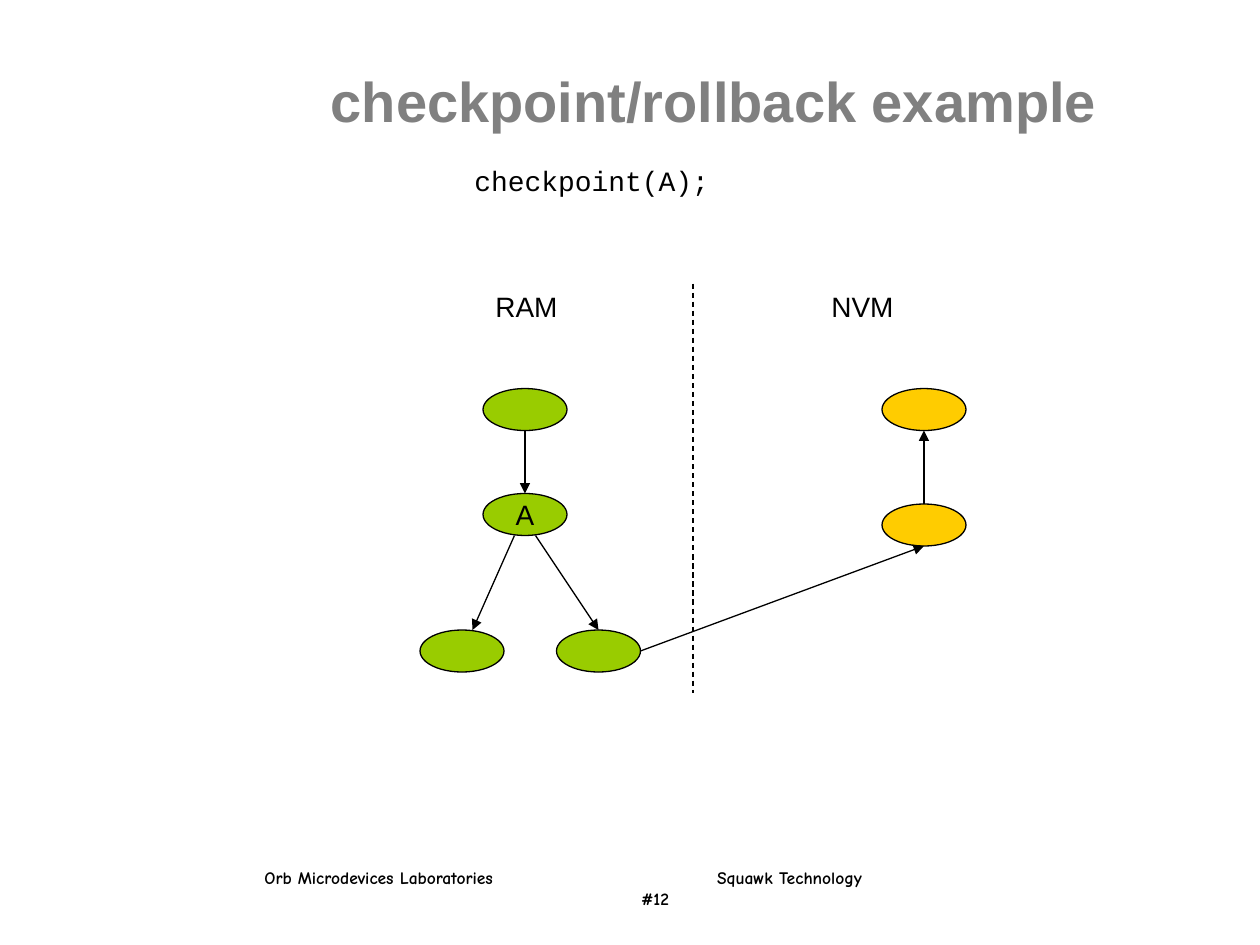
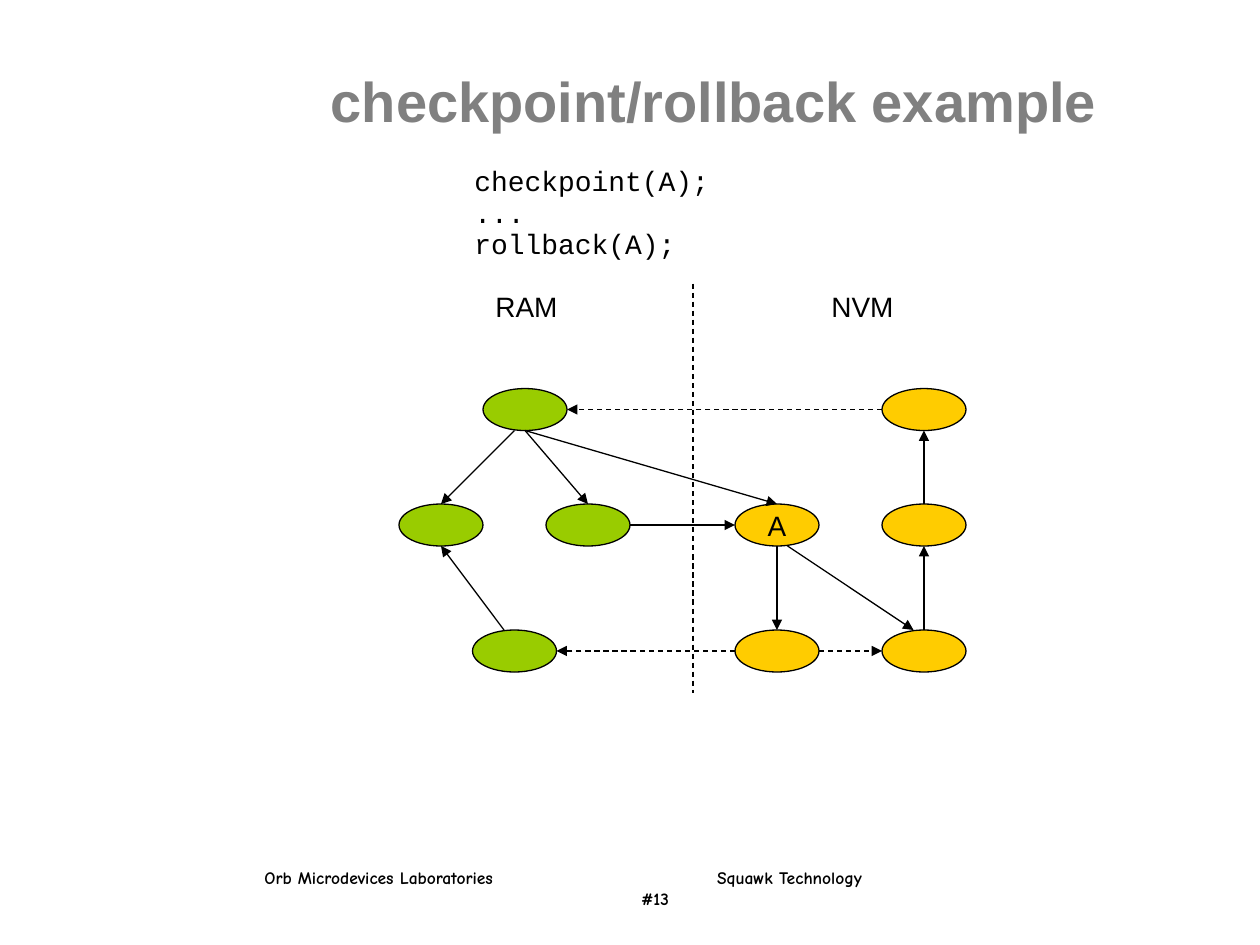
import pptx
import pptx.util
import pptx.dml.color
import pptx.enum.dml
import pptx.enum.shapes
import pptx.enum.text
import pptx.oxml.ns
import lxml.etree

PX = 9525
COLOURS = {"ink": "000000", "title": "808080", "ram": "99CC00", "nvm": "FFCC00"}
NODE_WIDTH, NODE_HEIGHT = 64, 32
SIDES = {
    "top": (32, 0), "top left": (24, 0), "top right": (40, 0),
    "bottom": (32, 32), "bottom left": (24, 32), "bottom right": (40, 32),
    "left": (0, 16), "right": (64, 16),
}
ALIGN = pptx.enum.text.PP_ALIGN
ANCHOR = pptx.enum.text.MSO_ANCHOR

steps = [
    {
        "number": "#12",
        "code": ["checkpoint(A);"],
        "nodes": {
            "root": (368, 296, "ram"),
            "A": (368, 376, "ram"),
            "left child": (320, 480, "ram"),
            "right child": (424, 480, "ram"),
            "saved top": (672, 296, "nvm"),
            "saved middle": (672, 384, "nvm"),
        },
        "references": [
            ("root", "bottom", "A", "top", False),
            ("A", "bottom left", "left child", "top right", False),
            ("A", "bottom right", "right child", "top", False),
            ("right child", "right", "saved middle", "bottom", False),
            ("saved middle", "top", "saved top", "bottom", False),
        ],
    },
    {
        "number": "#13",
        "code": ["checkpoint(A);", "...", "rollback(A);"],
        "nodes": {
            "root": (368, 296, "ram"),
            "left child": (304, 384, "ram"),
            "right child": (416, 384, "ram"),
            "grandchild": (360, 480, "ram"),
            "A": (560, 384, "nvm"),
            "saved child": (560, 480, "nvm"),
            "saved top": (672, 296, "nvm"),
            "saved middle": (672, 384, "nvm"),
            "saved bottom": (672, 480, "nvm"),
        },
        "references": [
            ("root", "bottom", "A", "top", False),
            ("root", "bottom", "right child", "top", False),
            ("root", "bottom left", "left child", "top", False),
            ("grandchild", "top left", "left child", "bottom", False),
            ("right child", "right", "A", "left", False),
            ("A", "bottom", "saved child", "top", False),
            ("A", "bottom right", "saved bottom", "top left", False),
            ("saved bottom", "top", "saved middle", "bottom", False),
            ("saved middle", "top", "saved top", "bottom", False),
            ("saved top", "left", "root", "right", True),
            ("saved child", "left", "grandchild", "right", True),
            ("saved child", "right", "saved bottom", "left", True),
        ],
    },
]


def write(holder, lines, size, font="Arial", colour="ink", bold=False,
          align=ALIGN.LEFT, anchor=ANCHOR.TOP, wrap=True, tabs=()):
    frame = holder.text_frame
    frame.word_wrap = wrap
    frame.vertical_anchor = anchor
    for index, line in enumerate(lines):
        paragraph = frame.paragraphs[0] if index == 0 else frame.add_paragraph()
        paragraph.text = line
        paragraph.alignment = align
        if tabs:
            stops = lxml.etree.SubElement(paragraph._p.get_or_add_pPr(), pptx.oxml.ns.qn("a:tabLst"))
            lxml.etree.SubElement(stops, pptx.oxml.ns.qn("a:tab"), pos=str(tabs[index] * PX), algn="l")
        paragraph.font.size = pptx.util.Pt(size)
        paragraph.font.name = font
        paragraph.font.bold = bold
        paragraph.font.color.rgb = pptx.dml.color.RGBColor.from_string(COLOURS[colour])


def draw_line(slide, start, end, dashed, arrow):
    line = slide.shapes.add_connector(
        pptx.enum.shapes.MSO_CONNECTOR.STRAIGHT, *[value * PX for value in (*start, *end)])
    line.line.color.rgb = pptx.dml.color.RGBColor.from_string(COLOURS["ink"])
    line.line.width = pptx.util.Pt(0.75)
    if dashed:
        line.line.dash_style = pptx.enum.dml.MSO_LINE.DASH
    if arrow:
        lxml.etree.SubElement(line.line._get_or_add_ln(), pptx.oxml.ns.qn("a:tailEnd"), type="triangle")
    lxml.etree.SubElement(line._element.spPr, pptx.oxml.ns.qn("a:effectLst"))


deck = pptx.Presentation()
deck.slide_width, deck.slide_height = 960 * PX, 720 * PX

for step in steps:
    slide = deck.slides.add_slide(deck.slide_layouts[6])

    footer = slide.shapes.add_textbox(192 * PX, 656 * PX, 604 * PX, 42 * PX)
    write(footer, ["Orb Microdevices Laboratories\tSquawk Technology", "\t" + step["number"]],
          10, font="Comic Neue", bold=True, tabs=(345, 287))

    title = slide.shapes.add_textbox(184 * PX, 48 * PX, 720 * PX, 56 * PX)
    write(title, ["checkpoint/rollback example"], 32, colour="title", bold=True,
          align=ALIGN.CENTER, anchor=ANCHOR.MIDDLE)

    for memory, left in (("RAM", 368), ("NVM", 624)):
        heading = slide.shapes.add_textbox(left * PX, 216 * PX, 72 * PX, 36 * PX)
        write(heading, [memory], 16)

    for row, statement in enumerate(step["code"]):
        code_line = slide.shapes.add_textbox(352 * PX, (120 + 24 * row) * PX, 208 * PX, 36 * PX)
        write(code_line, [statement], 16, font="Courier New")

    draw_line(slide, (528, 216), (528, 528), dashed=True, arrow=False)

    for name, (left, top, memory) in step["nodes"].items():
        node = slide.shapes.add_shape(
            pptx.enum.shapes.MSO_SHAPE.OVAL, left * PX, top * PX, NODE_WIDTH * PX, NODE_HEIGHT * PX)
        node.shadow.inherit = False
        node.fill.solid()
        node.fill.fore_color.rgb = pptx.dml.color.RGBColor.from_string(COLOURS[memory])
        node.line.color.rgb = pptx.dml.color.RGBColor.from_string(COLOURS["ink"])
        node.line.width = pptx.util.Pt(0.75)
        if name == "A":
            write(node, [name], 16, align=ALIGN.CENTER, anchor=ANCHOR.MIDDLE, wrap=False)

    for source, source_side, target, target_side, dashed in step["references"]:
        start, end = [
            (step["nodes"][name][0] + SIDES[side][0], step["nodes"][name][1] + SIDES[side][1])
            for name, side in ((source, source_side), (target, target_side))]
        draw_line(slide, start, end, dashed, arrow=True)

deck.save("out.pptx")
